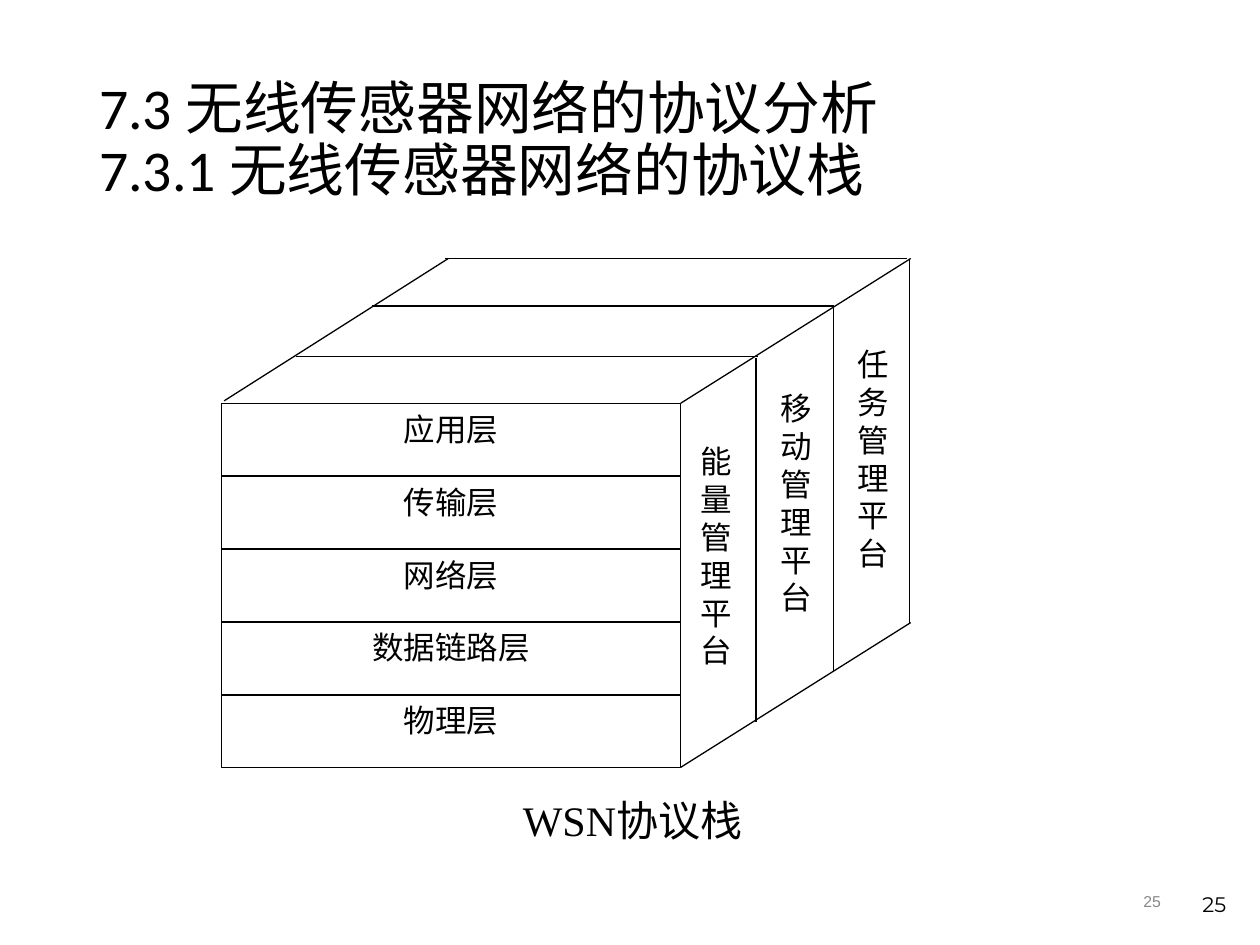
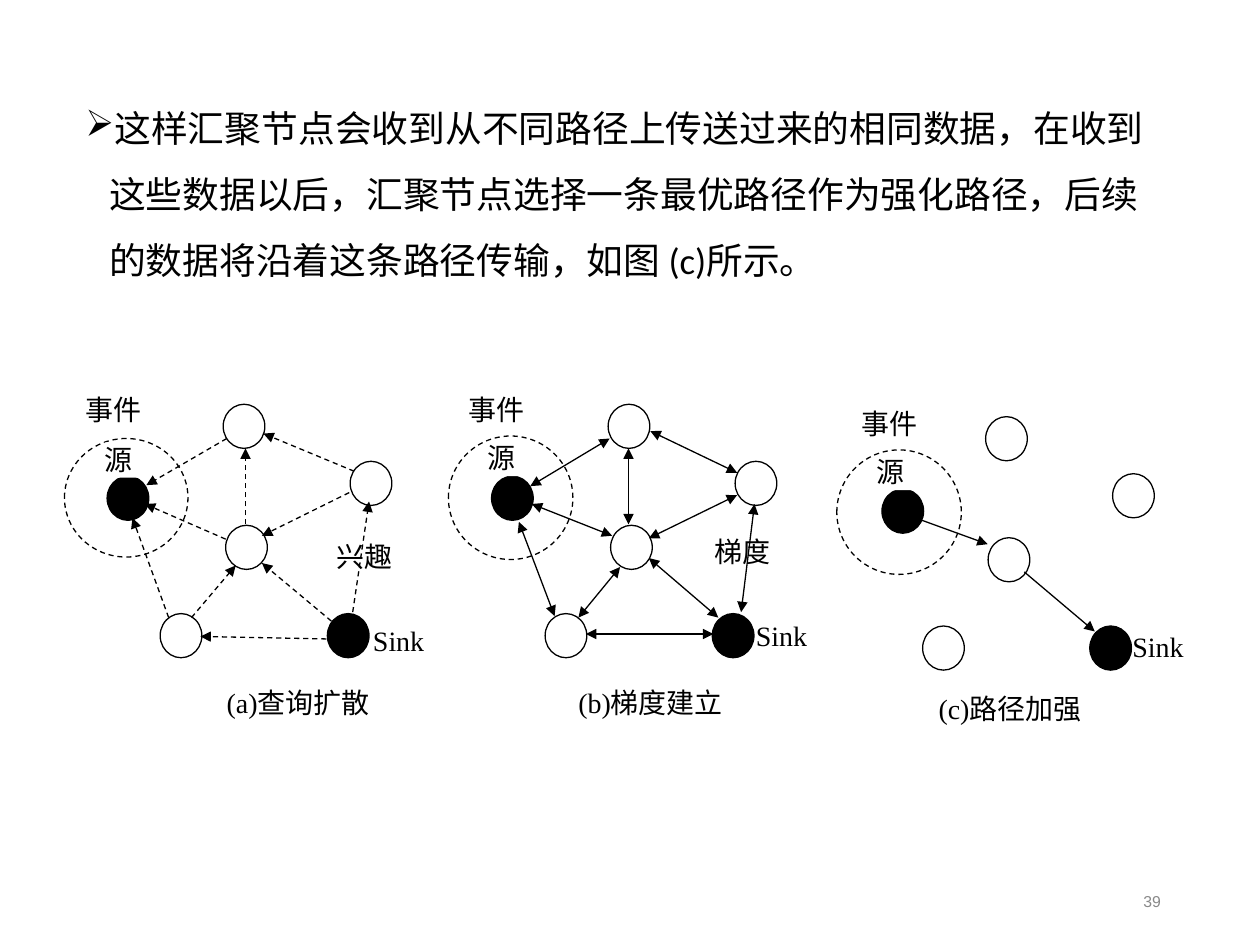
"""Build two slides on wireless sensor network protocols."""
from lxml import etree
from pptx import Presentation
from pptx.dml.color import RGBColor
from pptx.enum.dml import MSO_LINE
from pptx.enum.shapes import MSO_CONNECTOR, MSO_SHAPE
from pptx.enum.text import MSO_ANCHOR, PP_ALIGN
from pptx.oxml.ns import qn
from pptx.util import Cm, Pt

RECT, OVAL = MSO_SHAPE.RECTANGLE, MSO_SHAPE.OVAL
LEFT, MID, RIGHT = PP_ALIGN.LEFT, PP_ALIGN.CENTER, PP_ALIGN.RIGHT
TOP, CENTRE, BASE = MSO_ANCHOR.TOP, MSO_ANCHOR.MIDDLE, MSO_ANCHOR.BOTTOM
DASH, STRAIGHT = MSO_LINE.DASH, MSO_CONNECTOR.STRAIGHT
BLACK, WHITE, GREY = "000000", "FFFFFF", "898989"
SERIF, SANS, BODY, MONT = "Times New Roman", "Arial", "Calibri", "Montserrat"
hue = RGBColor.from_string


def box(slide, kind, at, text="", size=16, font=SERIF, ink=BLACK, align=LEFT,
        anchor=TOP, pad=False, fill=WHITE, edge=False, dash=None):
    """Add a shape, or a text box when kind is None, and return it."""
    place = [Cm(v) for v in at]
    if kind is None:
        shape = slide.shapes.add_textbox(*place)
    else:
        shape = slide.shapes.add_shape(kind, *place)
        shape.shadow.inherit = False
        shape.fill.solid()
        shape.fill.fore_color.rgb = hue(fill)
        if edge:
            shape.line.color.rgb = hue(BLACK)
            shape.line.width = Pt(0.75)
            shape.line.dash_style = dash
        else:
            shape.line.fill.background()
    if text:
        frame = shape.text_frame
        frame.word_wrap = True
        frame.vertical_anchor = anchor
        frame.margin_left = frame.margin_right = Cm(0.25 if pad else 0)
        frame.margin_top = frame.margin_bottom = Cm(0.13 if pad else 0)
        para = frame.paragraphs[0]
        para.alignment = align
        for i, part in enumerate(text.split("\n")):
            if i:
                para.add_line_break()
            run = para.add_run()
            run.text = part
            run.font.size = Pt(size)
            run.font.name = font
            run.font.color.rgb = hue(ink)
    return shape


def link(slide, ends, dash=None, tips=()):
    """Add a thin black line with arrowheads at the named tips."""
    line = slide.shapes.add_connector(STRAIGHT, *[Cm(v) for v in ends])
    line.line.color.rgb = hue(BLACK)
    line.line.width = Pt(0.75)
    line.line.dash_style = dash
    for tip in tips:
        etree.SubElement(line.line._get_or_add_ln(), qn("a:" + tip), type="triangle")
    etree.SubElement(line._element.spPr, qn("a:effectLst"))


deck = Presentation()
deck.slide_width, deck.slide_height = Cm(25.4), Cm(19.05)
stack, paths = [deck.slides.add_slide(deck.slide_layouts[6]) for _ in range(2)]
for slide, page in ((stack, "25"), (paths, "39")):
    box(slide, None, (17.93, 17.65, 5.72, 1.02), page, 9, SANS, GREY, RIGHT, CENTRE, True)

title = box(stack, None, (1.75, 1.02, 21.92, 3.68),
            "7.3 无线传感器网络的协议分析\n7.3.1 无线传感器网络的协议栈",
            33, BODY, anchor=CENTRE, pad=True)
title.text_frame.paragraphs[0].line_spacing = 0.9
box(stack, None, (19.05, 17.35, 5.92, 1.27), "25", 12, MONT, align=RIGHT, anchor=BASE, pad=True)

layers = ("应用层", "传输层", "网络层", "数据链路层", "物理层")
for i, name in enumerate(layers):
    box(stack, RECT, (4.47, 8.13 + 1.47 * i, 9.25, 1.47), name, 18,
        align=MID, pad=True, edge=True)

wide, tall = 9.32, 7.34
for x, y in ((8.97, 5.21), (7.49, 6.17), (5.97, 7.19)):
    link(stack, (x, y, x + wide, y))
for x, y in ((18.34, 5.23), (16.8, 6.2), (15.24, 7.21)):
    link(stack, (x, y, x, y + tall))
for drop in (0, tall):
    link(stack, (13.72, 8.13 + drop, 18.36, 5.21 + drop))
link(stack, (4.52, 8.08, 9.04, 5.21))

for x, y, name in ((13.87, 8.92, "能量管理平台"), (15.49, 7.85, "移动管理平台"),
                   (17.04, 6.96, "任务管理平台")):
    box(stack, RECT, (x, y, 1.12, 5.56), name, 18, align=MID)
box(stack, None, (10.29, 15.88, 5.26, 1.27), "WSN协议栈", 24, anchor=CENTRE, pad=True)

note = box(paths, None, (1.47, 1.55, 21.9, 16.1),
           "这样汇聚节点会收到从不同路径上传送过来的相同数据，在收到这些数据以后，"
           "汇聚节点选择一条最优路径作为强化路径，后续的数据将沿着这条路径传输，"
           "如图 (c)所示。", 21, BODY, pad=True)
para = note.text_frame.paragraphs[0]
para.line_spacing = 1.5
props = para._p.get_or_add_pPr()
props.set("marL", str(Cm(0.48)))
props.set("indent", str(Cm(-0.48)))
tint = etree.SubElement(props, qn("a:buClr"))
etree.SubElement(tint, qn("a:srgbClr"), val=BLACK)
etree.SubElement(props, qn("a:buChar"), char="➢")

box(paths, RECT, (14.4, 10.77, 1.42, 0.89), "梯度")
box(paths, RECT, (6.3, 10.87, 2.08, 0.89), "兴趣", align=MID)

nodes = ((4.5, 8.15, WHITE), (7.06, 9.3, WHITE), (4.55, 10.59, WHITE),
         (3.23, 12.37, WHITE), (6.6, 12.37, BLACK))
nets = (
    {"move": (0, 0), "ring": (1.3, 8.84, 2.49, 2.39), "source": (2.16, 9.6),
     "源": (2.11, 8.92), "事件": (1.73, 7.92), "Sink": (7.52, 12.57),
     "(a)查询扩散": (4.57, 13.82), "dash": DASH, "tips": ("tailEnd",),
     "links": ((4.57, 8.84, 2.95, 9.78), (4.55, 10.87, 2.92, 10.16),
               (3.4, 12.45, 2.67, 10.44), (4.95, 10.57, 4.95, 9.04),
               (7.14, 9.5, 5.31, 8.74), (6.68, 12.52, 5.28, 11.35),
               (3.86, 12.45, 4.75, 11.4), (6.58, 12.88, 4.04, 12.83),
               (7.04, 9.93, 5.28, 10.8), (7.11, 12.34, 7.44, 10.11))},
    {"move": (7.76, 0), "ring": (9.04, 8.79, 2.51, 2.49), "source": (9.91, 9.6),
     "源": (9.83, 8.89), "事件": (9.45, 7.92), "Sink": (15.24, 12.47),
     "(b)梯度建立": (11.66, 13.82), "dash": None, "tips": ("headEnd", "tailEnd"),
     "links": ((10.69, 9.8, 12.29, 8.84), (10.46, 10.52, 11.18, 12.42),
               (12.67, 10.57, 12.67, 9.04), (10.72, 10.16, 12.34, 10.8),
               (11.66, 12.45, 12.5, 11.43), (11.81, 12.78, 14.38, 12.78),
               (13.08, 11.25, 14.48, 12.45), (13.11, 8.69, 14.86, 9.53),
               (15.21, 10.16, 14.94, 12.34), (13.08, 10.85, 14.86, 9.98))},
    {"move": (15.37, 0.25), "ring": (16.87, 9.07, 2.51, 2.51), "source": (17.78, 9.86),
     "源": (17.68, 9.17), "事件": (17.37, 8.2), "Sink": (22.83, 12.7),
     "(c)路径加强": (18.92, 13.94), "dash": None, "tips": ("tailEnd",),
     "links": ((18.59, 10.49, 19.91, 10.97), (20.65, 11.53, 22.07, 12.73))},
)
sizes = {"源": (0.79, 0.71), "事件": (1.37, 0.74), "Sink": (1.42, 0.74),
         "(a)查询扩散": (3.56, 0.94), "(b)梯度建立": (3.56, 0.94),
         "(c)路径加强": (3.56, 0.94)}
dot = (0.84, 0.89)
for net in nets:
    dx, dy = net["move"]
    for x, y, fill in nodes:
        box(paths, OVAL, (x + dx, y + dy, *dot), fill=fill, edge=True)
    box(paths, OVAL, net["ring"], edge=True, dash=DASH)
    box(paths, OVAL, (*net["source"], *dot), fill=BLACK, edge=True)
    for name, size in sizes.items():
        if name in net:
            box(paths, RECT, (*net[name], *size), name)
    for ends in net["links"]:
        link(paths, ends, net["dash"], net["tips"])

deck.save("out.pptx")
